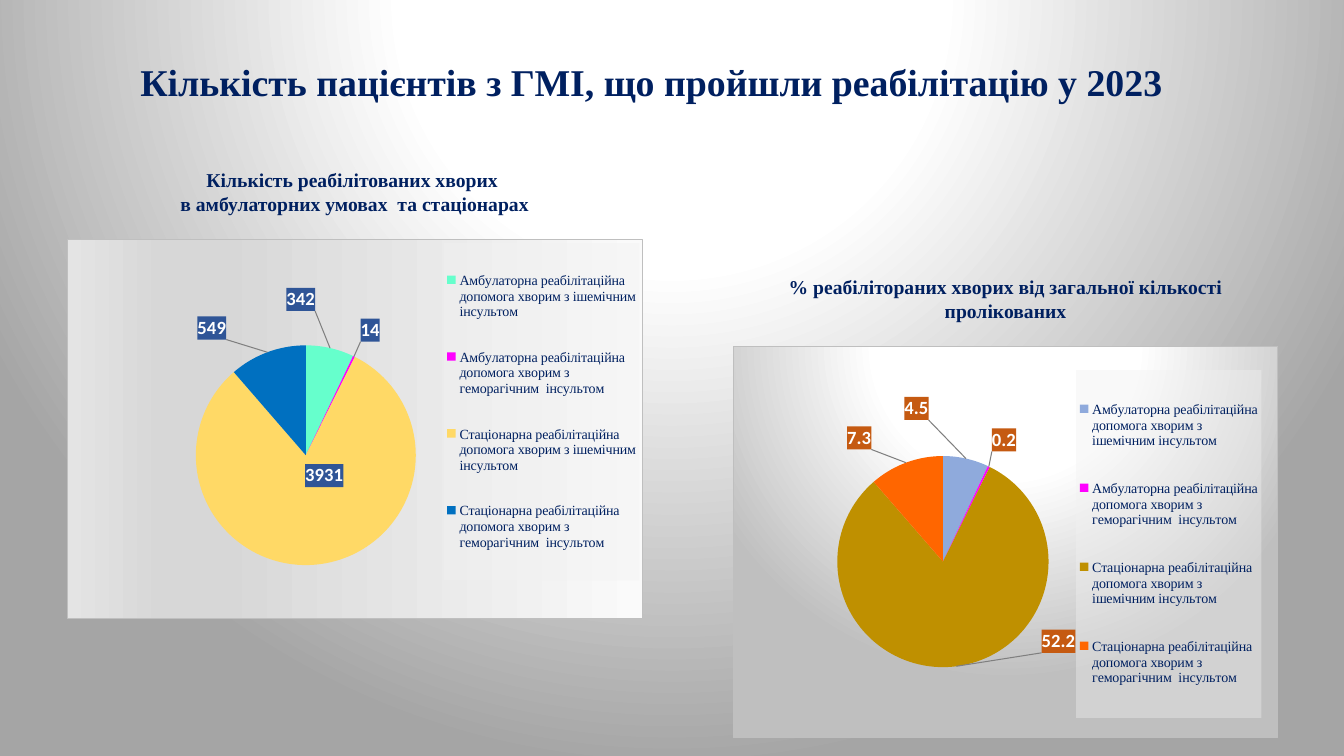
from lxml import etree
from pptx import Presentation
from pptx.chart.data import CategoryChartData
from pptx.dml.color import RGBColor
from pptx.enum.chart import XL_CHART_TYPE as CT, XL_LABEL_POSITION as LP, XL_LEGEND_POSITION as LG
from pptx.enum.text import MSO_ANCHOR as MA, PP_ALIGN as PA
from pptx.oxml import parse_xml
from pptx.oxml.ns import nsdecls, qn
from pptx.util import Pt

NAVY = "002060"
SERIF = "Times New Roman"
CAPTION_W, CAPTION_H, CAPTION_RISE = 389.5, 32.4, 50
CATEGORIES = [
    f"{place} реабілітаційна допомога хворим з {kind} інсультом"
    for place in ("Амбулаторна", "Стаціонарна")
    for kind in ("ішемічним", "геморагічним ")
]


def rgb(color):
    return RGBColor.from_string(color)


def set_font(font, size, color, name=SERIF, bold=False):
    font.size, font.name, font.bold = Pt(size), name, bold
    font.color.rgb = rgb(color)


def add_text(tf, lines, align=PA.LEFT, spacing=1.0, inset=None, **fmt):
    tf.word_wrap, tf.vertical_anchor = True, MA.MIDDLE
    if inset is not None:
        tf.margin_left = tf.margin_right = tf.margin_top = tf.margin_bottom = Pt(inset)
    for i, line in enumerate(lines):
        p = tf.add_paragraph() if i else tf.paragraphs[0]
        p.alignment, p.line_spacing = align, spacing
        r = p.add_run()
        r.text = line
        set_font(r.font, **fmt)


# XML helpers
def solid(color, alpha=100):
    return (f'<a:solidFill><a:srgbClr val="{color}"><a:alpha val="{alpha * 1000}"/>'
            f'</a:srgbClr></a:solidFill>')


def gradient(stops, angle=None):
    """Linear at the given angle, or circular from above the area."""
    gs = "".join(f'<a:gs pos="{pos * 1000}"><a:srgbClr val="{c}"/></a:gs>' for pos, c in stops)
    if angle is None:
        way = ('<a:path path="circle"><a:fillToRect l="50000" t="-80000" '
               'r="50000" b="180000"/></a:path>')
    else:
        way = f'<a:lin ang="{angle * 60000}" scaled="0"/>'
    return f'<a:gradFill {nsdecls("a")} rotWithShape="1"><a:gsLst>{gs}</a:gsLst>{way}</a:gradFill>'


def sp_pr(fill, line=None, width=0.75):
    stroke = solid(line) if line else "<a:noFill/>"
    return parse_xml(f'<c:spPr {nsdecls("c", "a")}>{fill}'
                     f'<a:ln w="{Pt(width)}">{stroke}</a:ln></c:spPr>')


def layout(inner=False, **values):
    tags = '<c:layoutTarget val="inner"/>' if inner else ""
    if "w" in values:
        tags += '<c:xMode val="edge"/><c:yMode val="edge"/>'
    tags += "".join(f'<c:{k} val="{v}"/>' for k, v in values.items())
    return parse_xml(f'<c:layout {nsdecls("c")}><c:manualLayout>{tags}</c:manualLayout></c:layout>')


def place(parent, new_layout, index):
    for old in parent.findall(qn("c:layout")):
        parent.remove(old)
    parent.insert(index, new_layout)


# Parts of a pie chart
def format_legend(chart, box):
    chart.has_legend = True
    legend = chart.legend
    legend.position, legend.include_in_layout = LG.RIGHT, False
    set_font(legend.font, 10, NAVY)
    element = chart.element.find(".//" + qn("c:legend"))
    place(element, layout(**dict(zip("xywh", box))), 1)
    element.find(qn("c:txPr")).addprevious(sp_pr(solid("F2F2F2", 39)))


def format_labels(series, fill, fmt, offsets):
    labels = series.data_labels
    labels.show_value, labels.position = True, LP.CENTER
    labels.number_format, labels.number_format_is_linked = fmt, False
    set_font(labels.font, 13.3, "FFFFFF", "Calibri", True)
    for i, (x, y) in enumerate(offsets):
        label = series.points[i].data_label
        set_font(label.font, 13.3, "FFFFFF", "Calibri", True)
        label.position = LP.CENTER
    dlbls = series.data_labels._element
    for dlbl, (x, y) in zip(dlbls.findall(qn("c:dLbl")), offsets):
        number = parse_xml(f'<c:numFmt {nsdecls("c")} formatCode="{fmt}" sourceLinked="0"/>')
        for part in (sp_pr(solid(fill)), number, layout(x=x, y=y)):
            dlbl.insert(1, part)
    dlbls.find(qn("c:txPr")).addprevious(sp_pr(solid(fill)))
    # Leader lines to the moved labels
    for old in dlbls.findall(qn("c:showLeaderLines")):
        dlbls.remove(old)
    etree.SubElement(dlbls, qn("c:showLeaderLines")).set("val", "1")
    leader = etree.SubElement(dlbls, qn("c:leaderLines"))
    leader.append(sp_pr("", "7F7F7F"))


def pie_panel(s, box, caption, values, colors, fmt, label_fill, offsets, plot, legend, fill):
    x, y, w, h = box
    # Caption centred above the chart
    tb = s.shapes.add_textbox(Pt(x + (w - CAPTION_W) / 2), Pt(y - CAPTION_RISE),
                              Pt(CAPTION_W), Pt(CAPTION_H))
    add_text(tb.text_frame, caption, align=PA.CENTER, size=14, color=NAVY, bold=True)
    # Pie
    data = CategoryChartData(number_format=fmt)
    data.categories = CATEGORIES
    data.add_series("Series 1", values)
    chart = s.shapes.add_chart(CT.PIE, Pt(x), Pt(y), Pt(w), Pt(h), data).chart
    chart.has_title = False
    set_font(chart.font, 10, "000000", "Calibri")
    chart.plots[0].vary_by_categories = True
    series = chart.plots[0].series[0]
    for i, color in enumerate(colors):
        area = series.points[i].format
        area.fill.solid()
        area.fill.fore_color.rgb = rgb(color)
        area.line.fill.background()
    format_labels(series, label_fill, fmt, offsets)
    format_legend(chart, legend)
    # Chart area
    space = chart.element
    place(space.find(".//" + qn("c:plotArea")), layout(True, **dict(zip("xywh", plot))), 0)
    space.find(qn("c:chart")).addnext(sp_pr(fill, "BFBFBF"))


def set_background(s, fill):
    s.background.fill.solid()
    bg = s.element.find(".//" + qn("p:bgPr"))
    bg.replace(bg[0], parse_xml(fill))


def set_title(s, box, text):
    title = s.shapes.title
    title.left, title.top, title.width, title.height = map(Pt, box)
    add_text(title.text_frame, [text], spacing=0.9, inset=3, size=27, color=NAVY, bold=True)


def main():
    prs = Presentation()
    prs.slide_width, prs.slide_height = Pt(960), Pt(540)
    s = prs.slides.add_slide(prs.slide_layouts[5])
    set_background(s, gradient([(0, "FFFFFF"), (35, "FFFFFF"), (100, "A5A5A5")]))
    set_title(s, (97.2, 30.2, 766, 60.5),
              "Кількість пацієнтів з ГМІ, що пройшли реабілітацію у 2023")
    # Share of treated patients
    pie_panel(
        s, (523.5, 247.2, 389.5, 280),
        ["% реабілітораних хворих від загальної кількості пролікованих"],
        (4.5, 0.2, 52.2, 7.3), ("8FAADC", "FF00FF", "BF9000", "FF6600"), "0.0", "C55A11",
        offsets=[(-0.07, -0.26), (0.07, -0.19), (0.2, 0.07), (-0.12, -0.19)],
        plot=(0, 0.28, 0.77, 0.54), legend=(0.63, 0.06, 0.34, 0.89),
        fill=gradient([(0, "FFFFFF"), (39, "FFFFFF"), (100, "BFBFBF")]))
    # Number of patients
    pie_panel(
        s, (47.5, 170.6, 411.8, 271.4),
        ["Кількість реабілітованих хворих ", "в амбулаторних умовах  та стаціонарах"],
        (342, 14, 3931, 549), ("66FFCC", "FF00FF", "FFD966", "0070C0"), "0", "2F5597",
        offsets=[(-0.03, -0.27), (0.07, -0.2), (0.02, -0.09), (-0.13, -0.2)],
        plot=(0, 0.28, 0.83, 0.58), legend=(0.66, 0.01, 0.34, 0.89),
        fill=gradient([(0, "FAFAFA"), (74, "D7D7D7"), (83, "D7D7D7"), (100, "E4E4E4")], 180))
    prs.save("out.pptx")


if __name__ == "__main__":
    main()
